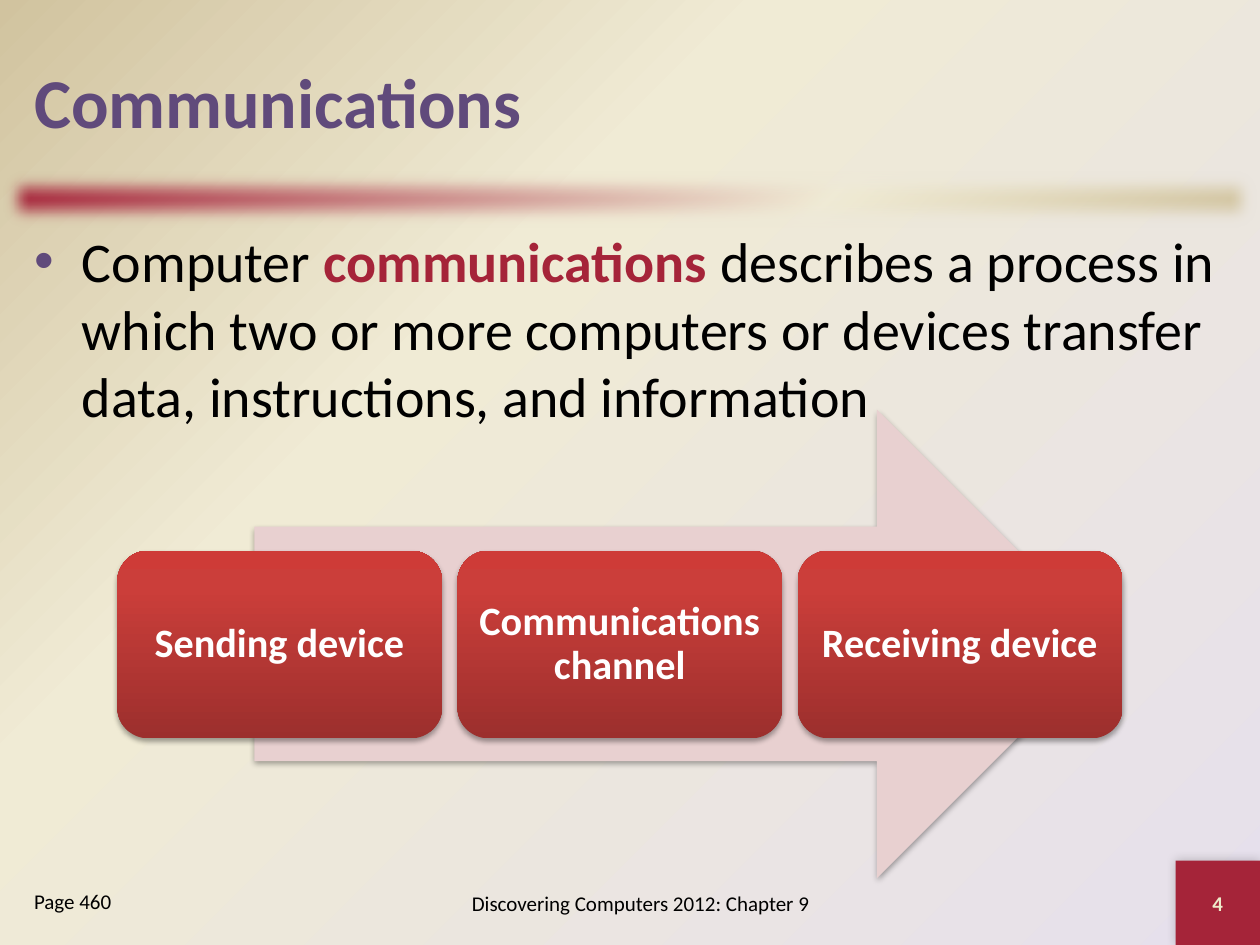
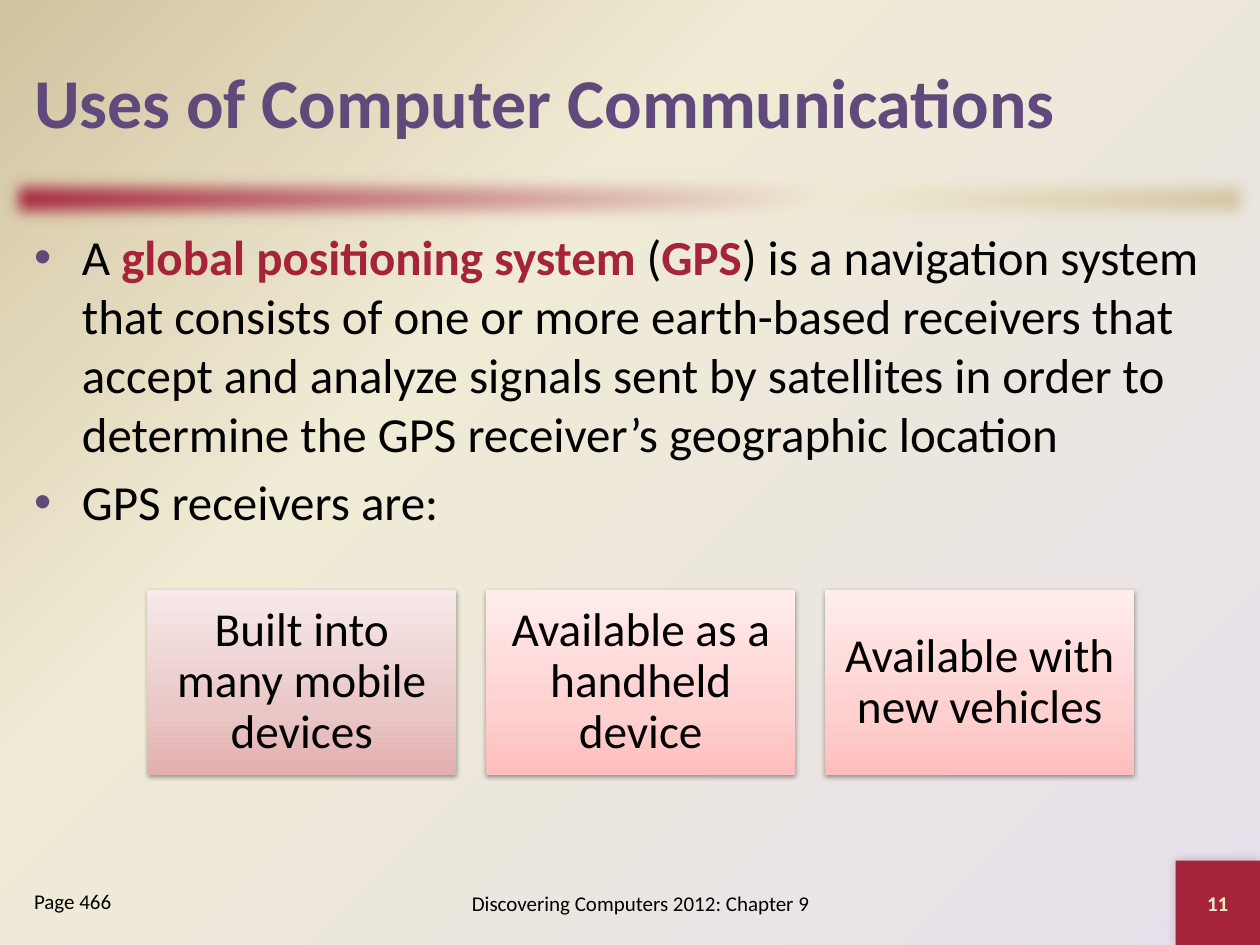
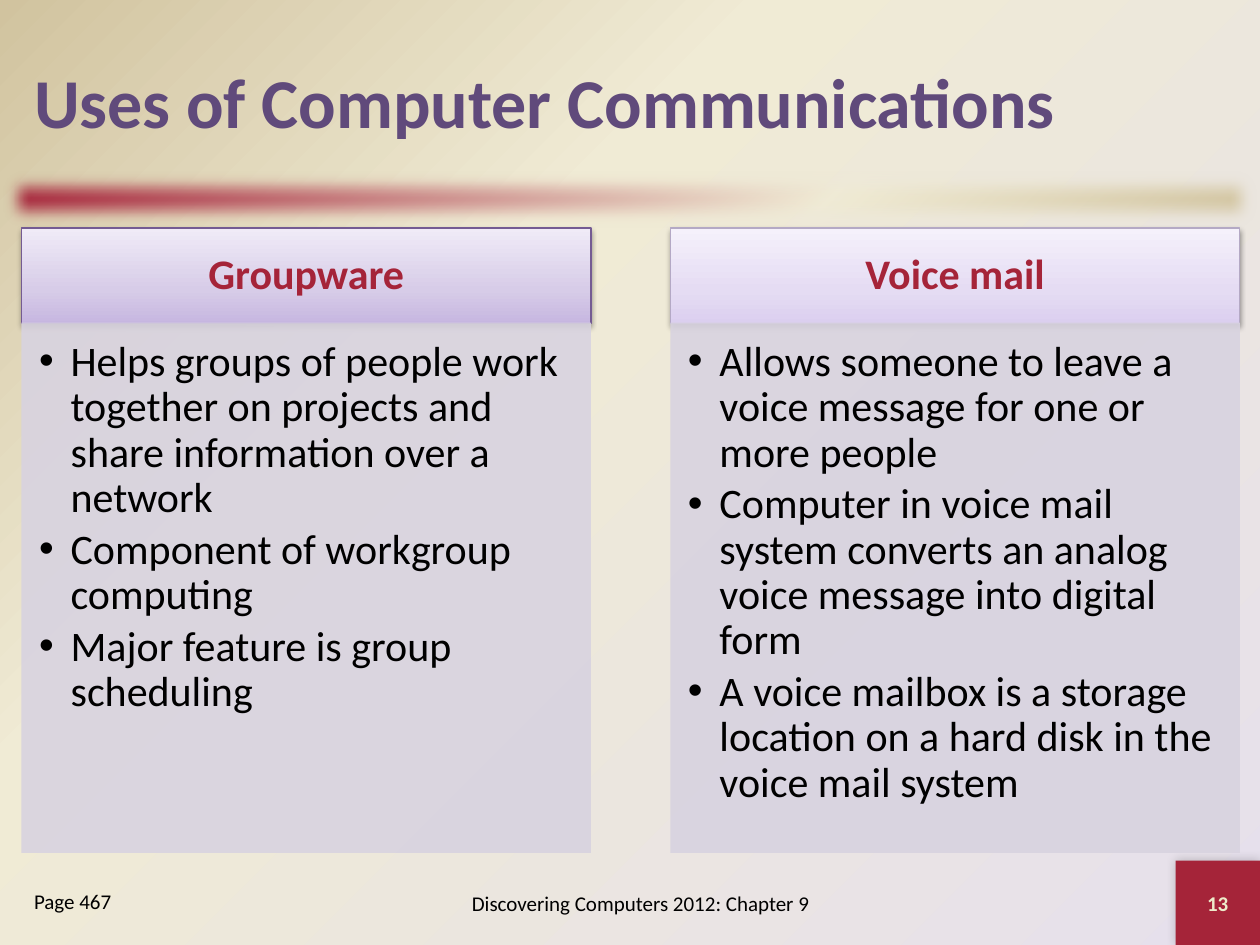
from lxml import etree
from pptx import Presentation
from pptx.dml.color import RGBColor
from pptx.enum.shapes import MSO_SHAPE as Preset
from pptx.enum.text import MSO_ANCHOR as Anchor, MSO_AUTO_SIZE as AutoSize, PP_ALIGN as Align
from pptx.oxml import parse_xml
from pptx.oxml.ns import nsdecls, qn
from pptx.util import Inches, Pt

COLORS = {
    "purple": "604A7B", "crimson": "A52439", "cream": "EEEBCA",
    "black": "000000", "white": "FFFFFF", "panel": "D8D3E0",
    "groupware": "745B93", "voice": "B4A9C5", "arrow": "E8D0D0",
}
GRADIENTS = {
    "page": [(0, "E6E0EC"), (65, "F0EBD5"), (100, "D1C39F")],
    "band": [(0, "A52439"), (65, "F0EBD5"), (100, "D1C39F")],
    "step": [(0, "9C2F2D"), (80, "CB3E3A"), (100, "CE3B37")],
    "dusty": [(0, "E2AFAE"), (35, "EAC7C7"), (100, "F7E9E9")],
    "rose": [(0, "FEBEBD"), (35, "FED1D0"), (100, "FFEDEC")],
    "groupware": [(0, "C6B6E0"), (35, "D7CCE8"), (100, "F0EBF7")],
    "voice": [(0, "DBCFEF"), (35, "E5DCF3"), (100, "F5F1FB")],
}
SOFT_SHADOW = (35, 3.1, 1.8, 90)
TILE_SHADOW = (38, 3.1, 1.6, 90)
CORNER_SHADOW = (20, 6, 0, 225)
FONT = "Calibri"
FOOTER = "Discovering Computers 2012: Chapter 9"


def rgb(name):
    return RGBColor.from_string(COLORS[name])


def apply(target, values):
    for name, value in values.items():
        setattr(target, name, value)


def gradient(name, direction):
    stops = "".join(
        f'<a:gs pos="{position * 1000}"><a:srgbClr val="{color}"/></a:gs>'
        for position, color in GRADIENTS[name]
    )
    return parse_xml(
        f'<a:gradFill {nsdecls("a")} rotWithShape="1"><a:gsLst>{stops}</a:gsLst>{direction}</a:gradFill>'
    )


def linear(angle):
    return f'<a:lin ang="{angle * 60000}" scaled="0"/>'


def swap_solid(parent, fill):
    solid = parent.find(qn("a:solidFill"))
    parent.replace(solid, fill)


class Deck:
    def __init__(self):
        self.prs = Presentation()
        apply(self.prs, {"slide_width": Inches(10), "slide_height": Inches(7.5)})
        master = self.prs.slide_master
        master.background.fill.solid()
        corner = '<a:path path="circle"><a:fillToRect l="100000" t="100000"/></a:path>'
        swap_solid(master.element.find(".//" + qn("p:bgPr")), gradient("page", corner))
        self.slide = None

    def new_slide(self, title, page, number, body=None, size=None):
        layout = self.prs.slide_layouts[3 if body else 1]
        self.slide = self.prs.slides.add_slide(layout)
        band = self.shape(Preset.RECTANGLE, (0, 1.33, 10, 0.5), "band", angle=45)
        self.effect(band, "softEdge", rad=Pt(10))
        corner = self.shape(Preset.RECTANGLE, (9.33, 6.83, 0.67, 0.67), "crimson", CORNER_SHADOW)
        self.text(corner, [number], 12, "cream", bold=True, align=Align.CENTER, anchor=Anchor.MIDDLE)
        self.place(self.slide.shapes.title, (0.17, 0.17, 9.67, 1.25))
        self.text(self.slide.shapes.title, [title], 40, "purple", bold=True, anchor=Anchor.MIDDLE)
        *lists, page_box = list(self.slide.placeholders)[1:]
        for holder in lists:
            self.place(holder, (0.17, 1.75, 9.67, 5.08))
            self.text(holder, body, size, gap=0.2, bullet="purple", indent=0.38)
        self.place(page_box, (0.17, 7, 1.83, 0.5))
        self.text(page_box, [page], 12)
        footer = self.slide.shapes.add_textbox(*map(Inches, (3, 6.92, 4.17, 0.5)))
        self.text(footer, [FOOTER], 12, align=Align.CENTER, anchor=Anchor.MIDDLE)

    def place(self, holder, area):
        apply(holder, dict(zip(("left", "top", "width", "height"), map(Inches, area))))

    def effect(self, shape, kind, **values):
        effects = shape.element.spPr.find(qn("a:effectLst"))
        return etree.SubElement(effects, qn("a:" + kind), {k: str(int(v)) for k, v in values.items()})

    def shape(self, preset, area, fill, shadow=None, line=None, angle=270, opacity=100):
        shape = self.slide.shapes.add_shape(preset, *map(Inches, area))
        shape.shadow.inherit = False
        shape.fill.solid()
        if fill in GRADIENTS:
            swap_solid(shape.element.spPr, gradient(fill, linear(angle)))
        else:
            shape.fill.fore_color.rgb = rgb(fill)
            if opacity < 100:
                color = shape.element.spPr.find(qn("a:solidFill"))[0]
                etree.SubElement(color, qn("a:alpha"), val=str(opacity * 1000))
        if line:
            shape.line.color.rgb = rgb(line)
            shape.line.width = Pt(0.75)
        else:
            shape.line.fill.background()
        if shadow:
            alpha, blur, distance, direction = shadow
            outer = self.effect(shape, "outerShdw", blurRad=Pt(blur), dist=Pt(distance),
                                dir=direction * 60000, rotWithShape=0)
            color = etree.SubElement(outer, qn("a:srgbClr"), val=COLORS["black"])
            etree.SubElement(color, qn("a:alpha"), val=str(alpha * 1000))
        return shape

    def text(self, shape, lines, size, color="black", bold=False, align=Align.LEFT,
             anchor=Anchor.TOP, spacing=1.0, gap=0, bullet=None, indent=0,
             insets=(0.1, 0.05, 0.1, 0.05)):
        frame = shape.text_frame
        apply(frame, {"word_wrap": True, "auto_size": AutoSize.NONE, "vertical_anchor": anchor})
        sides = ("margin_left", "margin_top", "margin_right", "margin_bottom")
        apply(frame, dict(zip(sides, map(Inches, insets))))
        for index, line in enumerate(lines):
            paragraph = frame.add_paragraph() if index else frame.paragraphs[0]
            apply(paragraph, {
                "alignment": align, "line_spacing": spacing,
                "space_before": Pt(size * gap if index else 0), "space_after": Pt(0),
            })
            self.bullet(paragraph, bullet, indent)
            for part, words in enumerate(line.split("*")):
                key_term = part % 2 == 1
                run = paragraph.add_run()
                run.text = words
                apply(run.font, {"name": FONT, "size": Pt(size), "bold": bold or key_term})
                run.font.color.rgb = rgb("crimson" if key_term else color)

    def bullet(self, paragraph, color, indent):
        properties = paragraph._p.get_or_add_pPr()
        properties.set("marL", str(Inches(indent)))
        properties.set("indent", str(-Inches(indent)))
        if not color:
            etree.SubElement(properties, qn("a:buNone"))
            return
        tint = etree.SubElement(properties, qn("a:buClr"))
        etree.SubElement(tint, qn("a:srgbClr"), val=COLORS[color])
        etree.SubElement(properties, qn("a:buFont"), typeface="Arial")
        etree.SubElement(properties, qn("a:buChar"), char="•")

    def tile(self, preset, area, label, fill, size, color="black", bold=False,
             shadow=TILE_SHADOW, line=None, insets=(0.11,) * 4):
        tile = self.shape(preset, area, fill, shadow, line)
        self.text(tile, [label], size, color, bold, Align.CENTER, Anchor.MIDDLE, 0.9, insets=insets)

    def topic(self, left, heading, points, style):
        self.tile(Preset.RECTANGLE, (left, 1.81, 4.52, 0.76), heading, style, 24,
                  "crimson", True, line=style)
        panel = self.shape(Preset.RECTANGLE, (left, 2.56, 4.52, 4.21), "panel", opacity=90)
        self.text(panel, points, 24, spacing=0.9, gap=0.15, bullet="black", indent=0.25,
                  insets=(0.14, 0.14, 0.19, 0.21))


def main():
    deck = Deck()

    deck.new_slide("Communications", "Page 460", "4", [
        "Computer *communications* describes a process in which two or more computers "
        "or devices transfer data, instructions, and information",
    ], 32)
    deck.shape(Preset.RIGHT_ARROW, (2.02, 3.25, 6.8, 3.72), "arrow", SOFT_SHADOW)
    for index, step in enumerate(["Sending device", "Communications channel", "Receiving device"]):
        deck.tile(Preset.ROUNDED_RECTANGLE, (0.93 + index * 2.7, 4.37, 2.58, 1.49), step, "step",
                  23, "white", True, SOFT_SHADOW, insets=(0.03,) * 4)

    deck.new_slide("Uses of Computer Communications", "Page 466", "11", [
        "A *global positioning system *(*GPS*) is a navigation system that consists of one or more "
        "earth-based receivers that accept and analyze signals sent by satellites in order to "
        "determine the GPS receiver’s geographic location",
        "GPS receivers are:",
    ], 28)
    receivers = [
        ("Built into many mobile devices", "dusty"),
        ("Available as a handheld device", "rose"),
        ("Available with new vehicles", "rose"),
    ]
    for index, (receiver, fill) in enumerate(receivers):
        deck.tile(Preset.RECTANGLE, (1.17 + index * 2.69, 4.68, 2.45, 1.47), receiver, fill, 27)

    deck.new_slide("Uses of Computer Communications", "Page 467", "13")
    deck.topic(0.17, "Groupware", [
        "Helps groups of people work together on projects and share information over a network",
        "Component of workgroup computing",
        "Major feature is group scheduling",
    ], "groupware")
    deck.topic(5.32, "Voice mail", [
        "Allows someone to leave a voice message for one or more people",
        "Computer in voice mail system converts an analog voice message into digital form",
        "A voice mailbox is a storage location on a hard disk in the voice mail system",
    ], "voice")

    deck.prs.save("out.pptx")


if __name__ == "__main__":
    main()
